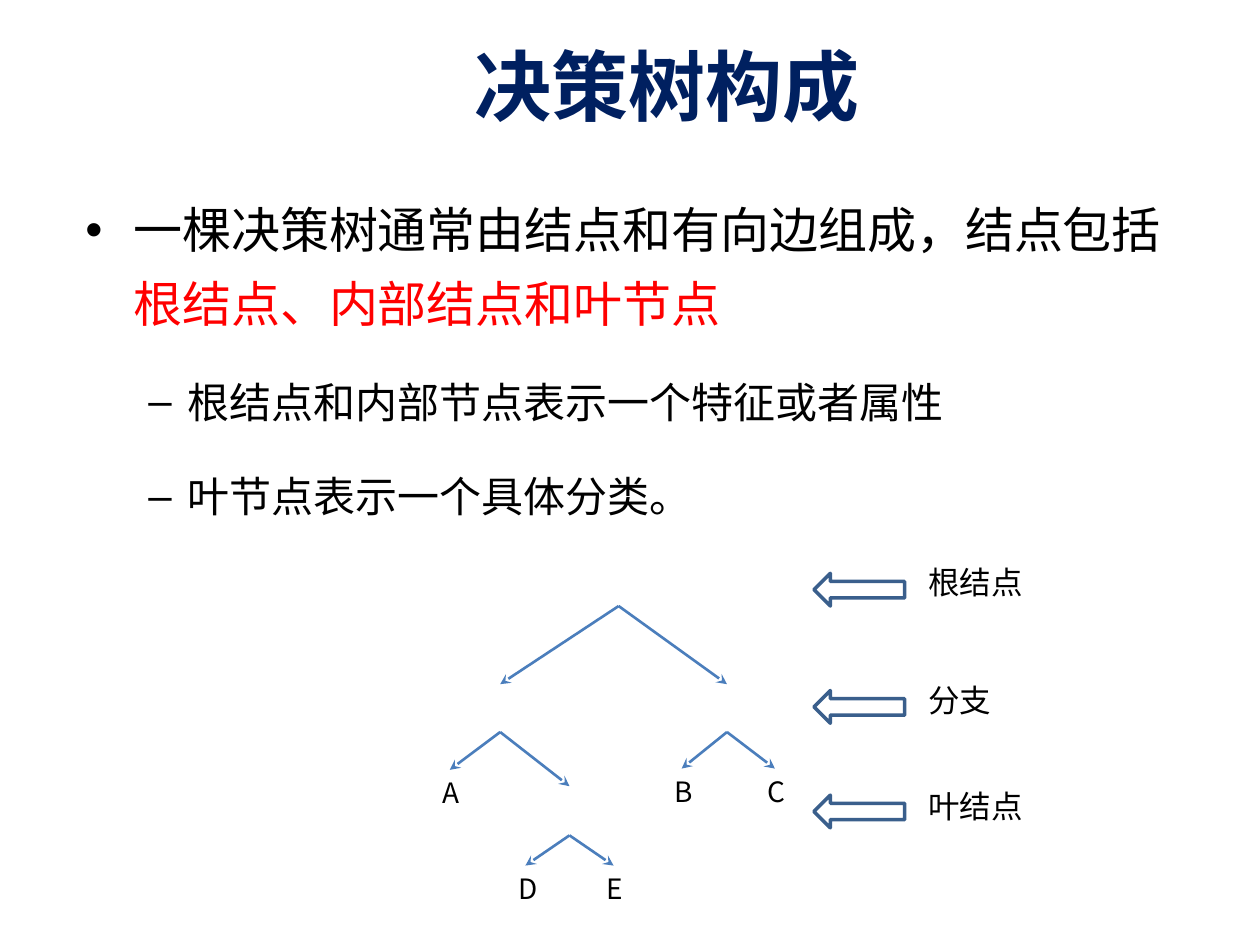
from typing import NamedTuple

import lxml.etree
import pptx
import pptx.dml.color
import pptx.enum.shapes
import pptx.enum.text
import pptx.oxml.ns
import pptx.util

Inches = pptx.util.Inches
Pt = pptx.util.Pt
qn = pptx.oxml.ns.qn
ALIGN = pptx.enum.text.PP_ALIGN
ANCHOR = pptx.enum.text.MSO_ANCHOR

COLORS = {"title": "002060", "text": "000000", "key": "FF0000",
          "branch": "4B7EBC", "arrow": "3A5F8C"}
TITLE_FONT = "Calibri"
BODY_FONT = "Noto Sans CJK SC"


class Bullet(NamedTuple):
    spans: list[tuple[str, str]]  # text and colour name
    mark: str
    size: int
    indent: float
    hanging: float


class Leaf(NamedTuple):
    name: str
    center: float
    top: float


class Branch(NamedTuple):
    start: tuple[float, float]
    end: tuple[float, float]
    leaf: str = ""


class Level(NamedTuple):
    name: str
    text_top: float
    text_width: float
    arrow_top: float


ROOT = (4.91, 4.81)
LEFT, RIGHT, INNER = (3.97, 5.81), (5.77, 5.81), (4.52, 6.63)

BULLETS = [
    Bullet([("一棵决策树通常由结点和有向边组成，结点包括", "text"),
            ("根结点、内部结点和叶节点", "key")], "•", 28, 0.38, 0.38),
    Bullet([("根结点和内部节点表示一个特征或者属性", "text")], "–", 24, 0.81, 0.31),
    Bullet([("叶节点表示一个具体分类。", "text")], "–", 24, 0.81, 0.31),
]
LEAVES = [Leaf("A", 3.57, 6.11), Leaf("B", 5.41, 6.1), Leaf("C", 6.15, 6.1),
          Leaf("D", 4.17, 6.87), Leaf("E", 4.87, 6.87)]
BRANCHES = [
    Branch(ROOT, (3.97, 5.43)), Branch(ROOT, (5.77, 5.43)),
    Branch(LEFT, (3.57, 6.11), "A"), Branch(LEFT, (4.52, 6.24)),
    Branch(RIGHT, (5.41, 6.1), "B"), Branch(RIGHT, (6.15, 6.1), "C"),
    Branch(INNER, (4.17, 6.87), "D"), Branch(INNER, (4.87, 6.87), "E"),
]
LEVELS = [Level("根结点", 4.42, 0.96, 4.55), Level("分支", 5.36, 0.71, 5.48),
          Level("叶结点", 6.2, 0.96, 6.31)]


def color(name: str) -> pptx.dml.color.RGBColor:
    return pptx.dml.color.RGBColor.from_string(COLORS[name])


def set_font(font, name: str, size: int, color_name: str, bold: bool = False) -> None:
    font.name = name
    font.size = Pt(size)
    font.bold = bold
    font.color.rgb = color(color_name)


def add_box(page, left: float, top: float, width: float, height: float):
    return page.shapes.add_textbox(Inches(left), Inches(top), Inches(width), Inches(height))


def add_title(page, text: str) -> None:
    box = add_box(page, 3.67, 0.17, 5.67, 1)
    frame = box.text_frame
    frame.word_wrap = True
    frame.vertical_anchor = ANCHOR.MIDDLE
    para = frame.paragraphs[0]
    para.text = text
    set_font(para.font, TITLE_FONT, 44, "title", bold=True)


def add_bullets(page, bullets: list[Bullet]) -> None:
    frame = add_box(page, 0.58, 1.42, 8.92, 5.83).text_frame
    frame.word_wrap = True
    for index, bullet in enumerate(bullets):
        para = frame.add_paragraph() if index else frame.paragraphs[0]
        para.level = min(index, 1)
        para.line_spacing = Pt(42)
        if index:
            para.space_before = Pt(12)
        properties = para._p.get_or_add_pPr()
        properties.set("marL", str(Inches(bullet.indent)))
        properties.set("indent", str(-Inches(bullet.hanging)))
        lxml.etree.SubElement(properties, qn("a:buFont")).set("typeface", "Arial")
        lxml.etree.SubElement(properties, qn("a:buChar")).set("char", bullet.mark)
        para.font.name = BODY_FONT
        para.font.size = Pt(bullet.size)
        for text, color_name in bullet.spans:
            span = para.add_run()
            span.text = text
            span.font.color.rgb = color(color_name)


def add_label(page, text: str, left: float, top: float, width: float, height: float,
              size: int, align):
    box = add_box(page, left, top, width, height)
    frame = box.text_frame
    frame.word_wrap = False
    frame.auto_size = pptx.enum.text.MSO_AUTO_SIZE.SHAPE_TO_FIT_TEXT
    para = frame.paragraphs[0]
    para.text = text
    para.alignment = align
    set_font(para.font, BODY_FONT, size, "text")
    return box


def add_branch(page, branch: Branch, leaf_boxes: dict) -> None:
    points = [Inches(value) for value in branch.start + branch.end]
    line = page.shapes.add_connector(pptx.enum.shapes.MSO_CONNECTOR.STRAIGHT, *points)
    line.line.color.rgb = color("branch")
    line.line.width = Pt(1.5)
    outline = line.line._get_or_add_ln()
    lxml.etree.SubElement(outline, qn("a:tailEnd")).set("type", "stealth")
    lxml.etree.SubElement(line._element.spPr, qn("a:effectLst"))
    if branch.leaf:
        line.end_connect(leaf_boxes[branch.leaf], 0)


def add_level(page, level: Level) -> None:
    add_label(page, level.name, 7.27, level.text_top, level.text_width, 0.4, 18, ALIGN.LEFT)
    arrow = page.shapes.add_shape(pptx.enum.shapes.MSO_SHAPE.RIGHT_ARROW, Inches(6.46),
                                  Inches(level.arrow_top), Inches(0.72), Inches(0.26))
    arrow.rotation = 180
    arrow.shadow.inherit = False
    arrow.fill.background()
    arrow.line.color.rgb = color("arrow")
    arrow.line.width = Pt(2)


def main() -> None:
    deck = pptx.Presentation()
    deck.slide_width, deck.slide_height = Inches(10), Inches(7.5)
    page = deck.slides.add_slide(deck.slide_layouts[6])

    # Title and explanation
    add_title(page, "决策树构成")
    add_bullets(page, BULLETS)

    # Decision tree
    leaf_width = 0.31
    leaf_boxes = {
        leaf.name: add_label(page, leaf.name, leaf.center - leaf_width / 2, leaf.top,
                             leaf_width, 0.37, 16, ALIGN.CENTER)
        for leaf in LEAVES
    }
    for branch in BRANCHES:
        add_branch(page, branch, leaf_boxes)

    # Level names with arrows pointing at the tree
    for level in LEVELS:
        add_level(page, level)

    deck.save("out.pptx")


if __name__ == "__main__":
    main()
